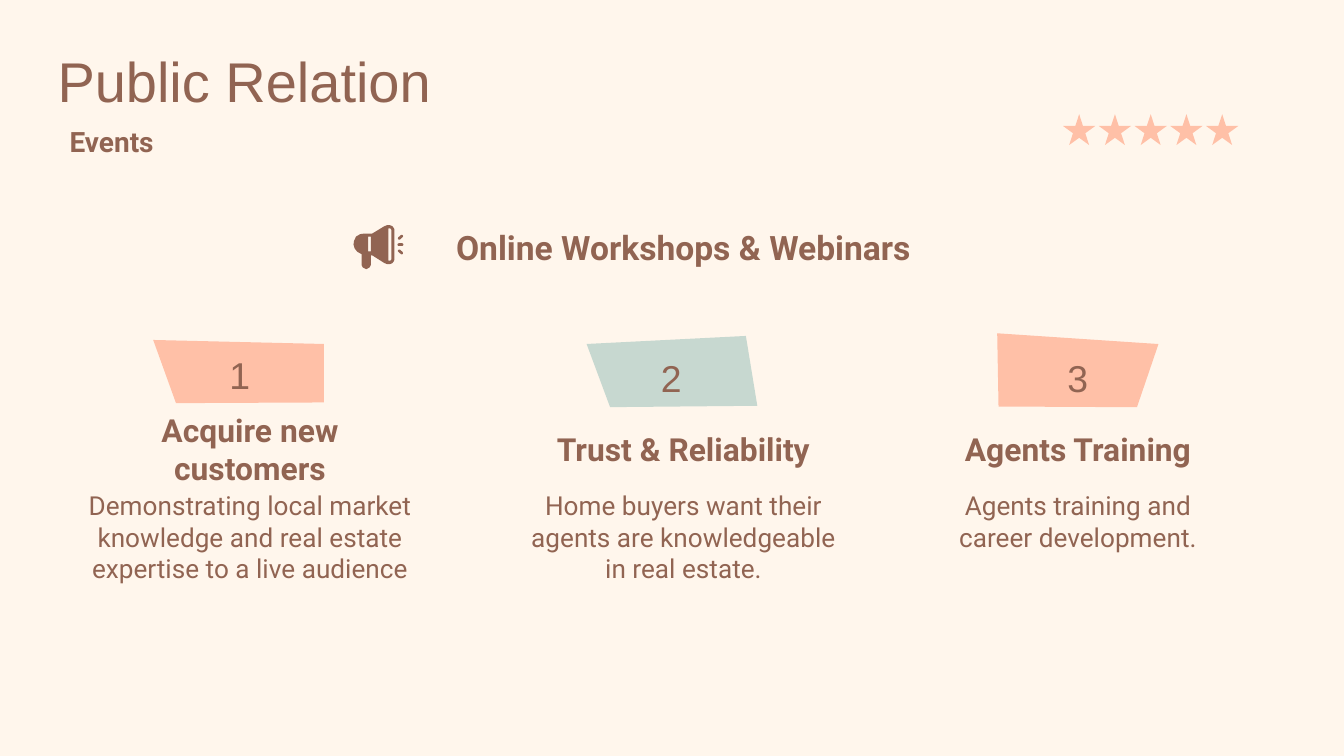
"""Build the public relation slide about online workshops and webinars."""
from dataclasses import dataclass

from pptx import Presentation
from pptx.dml.color import RGBColor
from pptx.enum.shapes import MSO_SHAPE
from pptx.enum.text import MSO_ANCHOR, PP_ALIGN
from pptx.util import Inches, Pt

LEFT, CENTER = PP_ALIGN.LEFT, PP_ALIGN.CENTER
TOP, MIDDLE = MSO_ANCHOR.TOP, MSO_ANCHOR.MIDDLE
STAR, PILL = MSO_SHAPE.STAR_5_POINT, MSO_SHAPE.ROUNDED_RECTANGLE


@dataclass(frozen=True)
class Theme:
    paper: RGBColor = RGBColor.from_string("FFF6EC")
    brown: RGBColor = RGBColor.from_string("916452")
    peach: RGBColor = RGBColor.from_string("FFC0A7")
    sage: RGBColor = RGBColor.from_string("C7D8D0")
    display: str = "Arial"
    body: str = "Roboto"
    title_size: int = 30
    number_size: int = 20
    topic_size: int = 18
    heading_size: int = 17
    section_size: int = 15
    text_size: int = 14


theme = Theme()
deck = Presentation()
deck.slide_width = Inches(10)
deck.slide_height = deck.slide_width * 9 // 16
page = deck.slides.add_slide(deck.slide_layouts[6])
page.background.fill.solid()
page.background.fill.fore_color.rgb = theme.paper
cell = deck.slide_width / 100


def paint(shape, color):
    shape.shadow.inherit = False
    shape.fill.solid()
    shape.fill.fore_color.rgb = color
    shape.line.fill.background()


def write(text, area, size, font, bold=False, align=CENTER, anchor=MIDDLE):
    box = page.shapes.add_textbox(*(round(length * cell) for length in area))
    frame = box.text_frame
    frame.word_wrap = True
    frame.vertical_anchor = anchor
    frame.margin_left = frame.margin_right = round(cell)
    frame.margin_top = frame.margin_bottom = round(cell)
    para = frame.paragraphs[0]
    para.text = text
    para.alignment = align
    para.font.size = Pt(size)
    para.font.name = font
    para.font.bold = bold
    para.font.color.rgb = theme.brown


for index in range(5):
    area = (79.1 + 2.66 * index, 8.5, 2.4, 2.3)
    star = page.shapes.add_shape(STAR, *(round(length * cell) for length in area))
    star.adjustments[0] = 0.191
    paint(star, theme.peach)

badges = [
    (theme.sage, [(55.5, 25), (43.65, 25.6), (45.4, 30.3), (56.35, 30.2)]),
    (theme.peach, [(74.2, 24.8), (86.2, 25.6), (84.6, 30.3), (74.3, 30.25)]),
    (theme.peach, [(24.1, 25.6), (11.4, 25.3), (13.1, 30), (24.1, 29.95)]),
]
horn = [
    (28.8, 16.75), (29, 16.75), (29.2, 16.83), (29.32, 17), (29.35, 17.1),
    (29.35, 19.3), (29.3, 19.45), (29.17, 19.6), (29, 19.65), (28.8, 19.65),
    (28.6, 19.57), (27.7, 19), (27.6, 19), (27.6, 19.7), (27.5, 19.9),
    (27.25, 20.03), (27, 19.9), (26.9, 19.7), (26.9, 18.9), (26.6, 18.75),
    (26.4, 18.5), (26.3, 18.2), (26.35, 17.9), (26.5, 17.6), (26.8, 17.42),
    (27.1, 17.38), (27.7, 17.38), (28.6, 16.83),
]
slot = [(27.4, 17.6), (27.6, 17.6), (27.6, 18.7), (27.4, 18.7)]
rim = [(28.9, 17), (29.05, 17), (29.12, 17.1), (29.12, 19.3), (29.05, 19.4), (28.9, 19.4)]
outlines = [(color, [points]) for color, points in badges]
outlines.append((theme.brown, [horn, slot, rim]))

for color, contours in outlines:
    rings = [[(x * cell, y * cell) for x, y in points] for points in contours]
    builder = page.shapes.build_freeform(*rings[0][0])
    builder.add_line_segments(rings[0][1:])
    for ring in rings[1:]:
        builder.move_to(*ring[0])
        builder.add_line_segments(ring[1:])
    paint(builder.convert_to_shape(), color)

for index, angle in enumerate((-42, 0, 42)):
    area = (29.58, 17.55 + 0.55 * index, 0.44, 0.2)
    wave = page.shapes.add_shape(PILL, *(round(length * cell) for length in area))
    wave.adjustments[0] = 0.5
    wave.rotation = angle
    paint(wave, theme.brown)

write("Public Relation", (3.3, 2.5, 84.4, 6.3), theme.title_size, theme.display,
      align=LEFT, anchor=TOP)
write("Events", (4.2, 7.3, 33.6, 6.4), theme.section_size, theme.body, True, LEFT)
write("Online Workshops & Webinars", (28.1, 15.2, 45.5, 6.3),
      theme.topic_size, theme.body, True)

columns = [
    (5.5, 26.2, 13.5, 26.3, "Acquire new customers",
     "Demonstrating local market knowledge and real estate expertise to a live audience"),
    (37.75, 26.2, 45.6, 26.55, "Trust & Reliability",
     "Home buyers want their agents are knowledgeable in real estate."),
    (68.25, 23.9, 75.85, 26.55, "Agents Training",
     "Agents training and career development."),
]
for number, (left, width, badge_left, badge_top, heading, detail) in enumerate(columns, 1):
    write(str(number), (badge_left, badge_top, 8.7, 3.1), theme.number_size, theme.display)
    write(heading, (left, 31.85, width, 3.1), theme.heading_size, theme.body, True)
    write(detail, (left, 35.43, width, 10.5), theme.text_size, theme.body, anchor=TOP)

deck.save("out.pptx")
